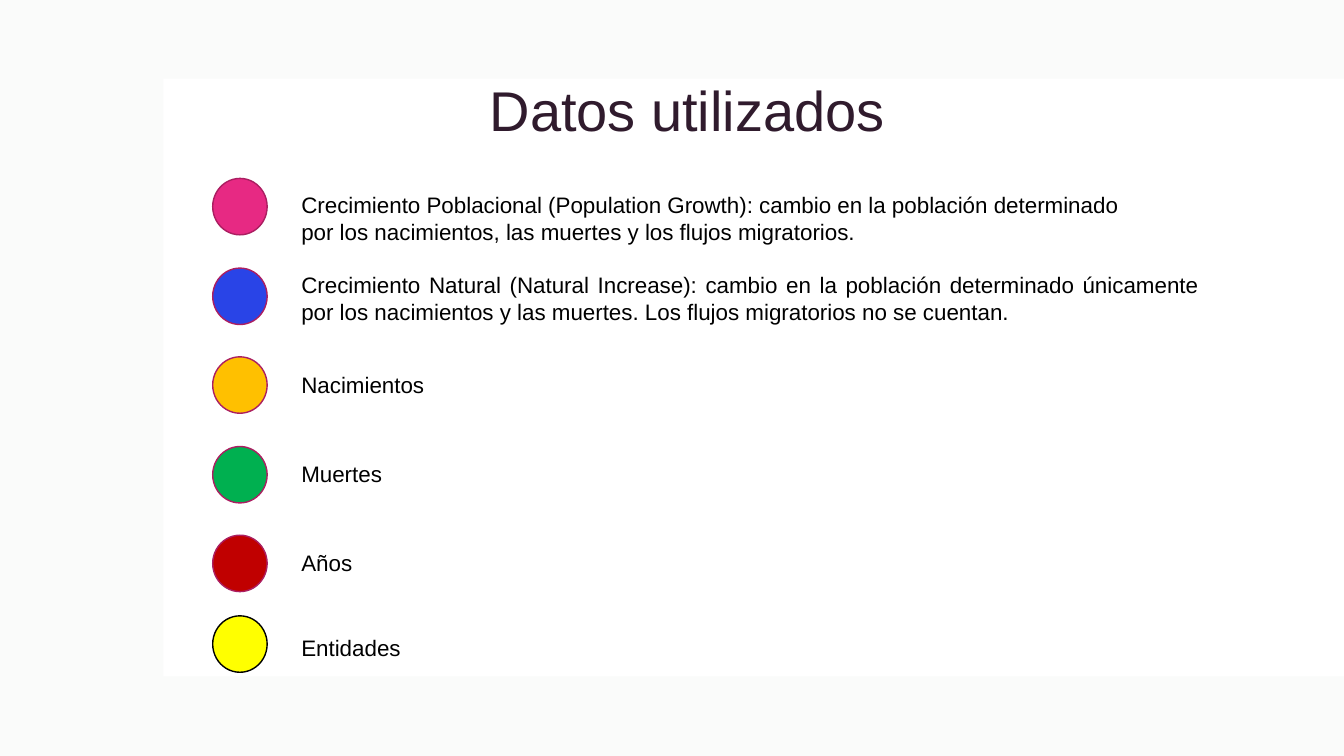
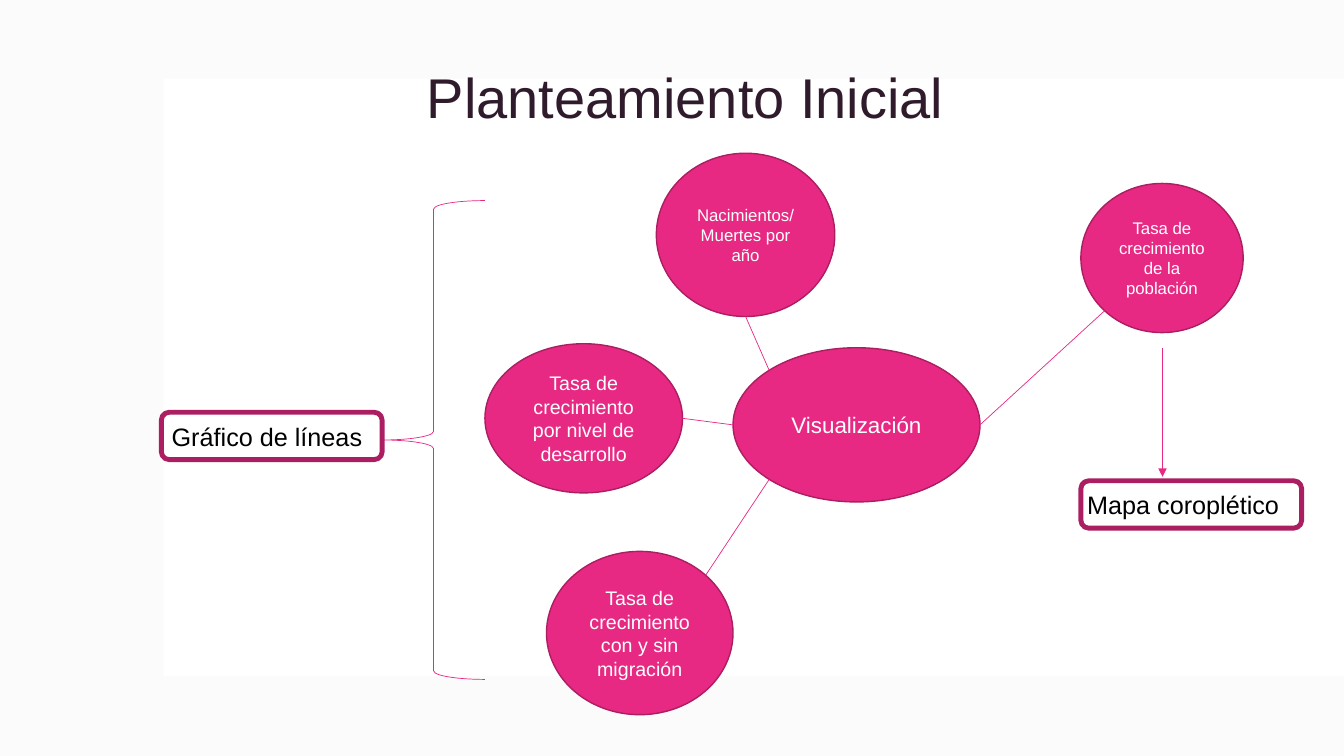
"""Build two slides on population data and its visualization plan."""
from dataclasses import dataclass
from math import cos, radians, sin
from typing import Any, Optional

from lxml.etree import SubElement
from pptx import Presentation
from pptx.dml.color import RGBColor
from pptx.enum.shapes import MSO_CONNECTOR, MSO_SHAPE
from pptx.enum.text import MSO_ANCHOR, MSO_AUTO_SIZE, PP_ALIGN
from pptx.oxml.ns import qn
from pptx.util import Inches, Pt

PINK, PLUM, TITLE_INK = "E72983", "AB1E61", "301B2D"
BLACK, WHITE, BACKDROP = "000000", "FFFFFF", "FAFBFA"
FONT = "Arial"
TITLE_ONLY = 5

Area = tuple[float, float, float, float]
Point = tuple[float, float]


@dataclass(frozen=True)
class Datum:
    """A coloured dot with its description."""

    lines: tuple[str, ...]
    fill: str
    dot_top: float
    text_top: float
    text_height: float = 0.37
    outline: str = PLUM


@dataclass(frozen=True)
class Bubble:
    """An ellipse of the diagram."""

    text: str
    area: Area
    size: int

    def site(self, angle: float) -> Point:
        """Return the point of the outline at an angle, clockwise from the right."""
        left, top, width, height = self.area
        turn = radians(angle)
        return (left + width / 2 * (1 + cos(turn)),
                top + height / 2 * (1 + sin(turn)))


@dataclass(frozen=True)
class Link:
    """A line from a bubble to the hub, given by the angles of its ends."""

    bubble: Bubble
    angle: float
    hub_angle: float


@dataclass(frozen=True)
class Tag:
    """A framed name of a chart type."""

    text: str
    left: float
    top: float
    inset: float


DATA = (
    Datum(("Crecimiento Poblacional (Population Growth): cambio en la población determinado",
           "por los nacimientos, las muertes y los flujos migratorios."),
          PINK, 1.77, 1.85, 0.64),
    Datum(("Crecimiento Natural (Natural Increase): cambio en la población determinado "
           "únicamente por los nacimientos y las muertes. Los flujos migratorios no se cuentan.",),
          "2944E7", 2.66, 2.64, 0.64),
    Datum(("Nacimientos",), "FFC000", 3.54, 3.63),
    Datum(("Muertes",), "00B050", 4.43, 4.52),
    Datum(("Años",), "C00000", 5.31, 5.4),
    Datum(("Entidades",), "FFFF00", 6.11, 6.24, outline=BLACK),
)

HUB = Bubble("Visualización", (7.27, 3.45, 2.45, 1.53), 16)
POPULATION = Bubble("Tasa de crecimiento de la población", (10.72, 1.82, 1.61, 1.48), 12)
MIGRATION = Bubble("Tasa de crecimiento con y sin migración", (5.42, 5.47, 1.85, 1.62), 14)
DEVELOPMENT = Bubble("Tasa de crecimiento por nivel de desarrollo", (4.81, 3.41, 1.96, 1.48), 14)
BIRTHS = Bubble("Nacimientos/Muertes por año", (6.51, 1.52, 1.77, 1.62), 12)

LINKS = (
    Link(BIRTHS, 90, 225),
    Link(DEVELOPMENT, 0, 180),
    Link(MIGRATION, 315, 135),
    Link(POPULATION, 135, 0),
)

TAGS = (
    Tag("Gráfico de líneas", 1.6, 4.09, 0.08),
    Tag("Mapa coroplético", 10.72, 4.77, 0.04),
)


def color(code: str) -> RGBColor:
    """Turn a hex string into a colour."""
    return RGBColor.from_string(code)


def apply(target: Any, values: dict[str, Any]) -> None:
    """Set the attributes of an object from a dict."""
    for name, value in values.items():
        setattr(target, name, value)


def place(box: Any, area: Area) -> None:
    """Move and size a box, in inches."""
    apply(box, dict(zip(("left", "top", "width", "height"), map(Inches, area))))


def write(box: Any, lines: tuple[str, ...], size: int, ink: str,
          align: PP_ALIGN, frame_format: dict[str, Any],
          spacing: Optional[float] = None) -> None:
    """Fill a box with one formatted paragraph per line."""
    frame = box.text_frame
    apply(frame, {"word_wrap": True, **frame_format})
    for index, line in enumerate(lines):
        para = frame.add_paragraph() if index else frame.paragraphs[0]
        apply(para, {"alignment": align, "line_spacing": spacing})
        span = para.add_run()
        span.text = line
        apply(span.font, {"name": FONT, "size": Pt(size)})
        span.font.color.rgb = color(ink)


def draw(page: Any, kind: MSO_SHAPE, area: Area, fill: Optional[str] = None,
         outline: Optional[str] = None, weight: float = 1) -> Any:
    """Add a preset shape without shadow."""
    shape = page.shapes.add_shape(kind, *map(Inches, area))
    shape.shadow.inherit = False
    if fill:
        shape.fill.solid()
        shape.fill.fore_color.rgb = color(fill)
    else:
        shape.fill.background()
    if outline:
        shape.line.color.rgb = color(outline)
        shape.line.width = Pt(weight)
    else:
        shape.line.fill.background()
    return shape


def connect(page: Any, start: Point, end: Point, arrow: bool = False) -> None:
    """Add a thin pink line, with an arrowhead at its end if asked."""
    line = page.shapes.add_connector(
        MSO_CONNECTOR.STRAIGHT, *map(Inches, (*start, *end)))
    line.line.color.rgb = color(PINK)
    line.line.width = Pt(0.5)
    properties = line.element.find(qn("p:spPr"))
    if arrow:
        SubElement(properties.find(qn("a:ln")), qn("a:tailEnd"), type="triangle")
    SubElement(properties, qn("a:effectLst"))


def add_page(deck: Any, title: str, area: Area) -> Any:
    """Add a slide with a formatted title."""
    page = deck.slides.add_slide(deck.slide_layouts[TITLE_ONLY])
    place(page.shapes.title, area)
    write(page.shapes.title, (title,), 40, TITLE_INK, PP_ALIGN.CENTER,
          {"vertical_anchor": MSO_ANCHOR.MIDDLE, "auto_size": MSO_AUTO_SIZE.NONE}, 0.9)
    return page


def dress_master(deck: Any, page: Any) -> None:
    """Give the master its backdrop and white panel."""
    master = deck.slide_master
    master.background.fill.solid()
    master.background.fill.fore_color.rgb = color(BACKDROP)
    panel = draw(page, MSO_SHAPE.RECTANGLE, (1.62, 0.78, 11.72, 5.93), WHITE)
    master.shapes.element.insert(2, panel.element)


def fill_data_page(page: Any) -> None:
    """Draw the dots and descriptions of the data."""
    for datum in DATA:
        draw(page, MSO_SHAPE.FLOWCHART_CONNECTOR, (2.11, datum.dot_top, 0.54, 0.56),
             datum.fill, datum.outline)
        box = page.shapes.add_textbox(
            *map(Inches, (2.89, datum.text_top, 9.1, datum.text_height)))
        write(box, datum.lines, 16, BLACK, PP_ALIGN.JUSTIFY,
              {"auto_size": MSO_AUTO_SIZE.SHAPE_TO_FIT_TEXT})


def fill_plan_page(page: Any) -> None:
    """Draw the diagram of the visualization."""
    for bubble in (HUB, *(link.bubble for link in LINKS)):
        shape = draw(page, MSO_SHAPE.FLOWCHART_CONNECTOR, bubble.area, PINK, PLUM)
        write(shape, (bubble.text,), bubble.size, WHITE, PP_ALIGN.CENTER,
              {"vertical_anchor": MSO_ANCHOR.MIDDLE})
    for link in LINKS:
        connect(page, link.bubble.site(link.angle), HUB.site(link.hub_angle))
    draw(page, MSO_SHAPE.LEFT_BRACE, (3.79, 1.99, 1.02, 4.75), outline=PINK, weight=0.5)
    connect(page, (11.53, 3.45), (11.53, 4.73), arrow=True)
    for tag in TAGS:
        frame = draw(page, MSO_SHAPE.ROUNDED_RECTANGLE,
                     (tag.left, tag.top, 2.19, 0.47), outline=PLUM, weight=3.5)
        write(frame, (tag.text,), 18, BLACK, PP_ALIGN.LEFT,
              {"vertical_anchor": MSO_ANCHOR.MIDDLE,
               "margin_left": Inches(tag.inset), "margin_right": 0})


def main() -> None:
    """Build and save the deck."""
    deck = Presentation()
    apply(deck, {"slide_width": Inches(13.33), "slide_height": Inches(7.5)})
    data_page = add_page(deck, "Datos utilizados", (1.64, 0.4, 10.35, 1.45))
    dress_master(deck, data_page)
    fill_data_page(data_page)
    fill_plan_page(add_page(deck, "Planteamiento Inicial", (1.6, 0.4, 10.39, 1.2)))
    deck.save("out.pptx")


if __name__ == "__main__":
    main()
